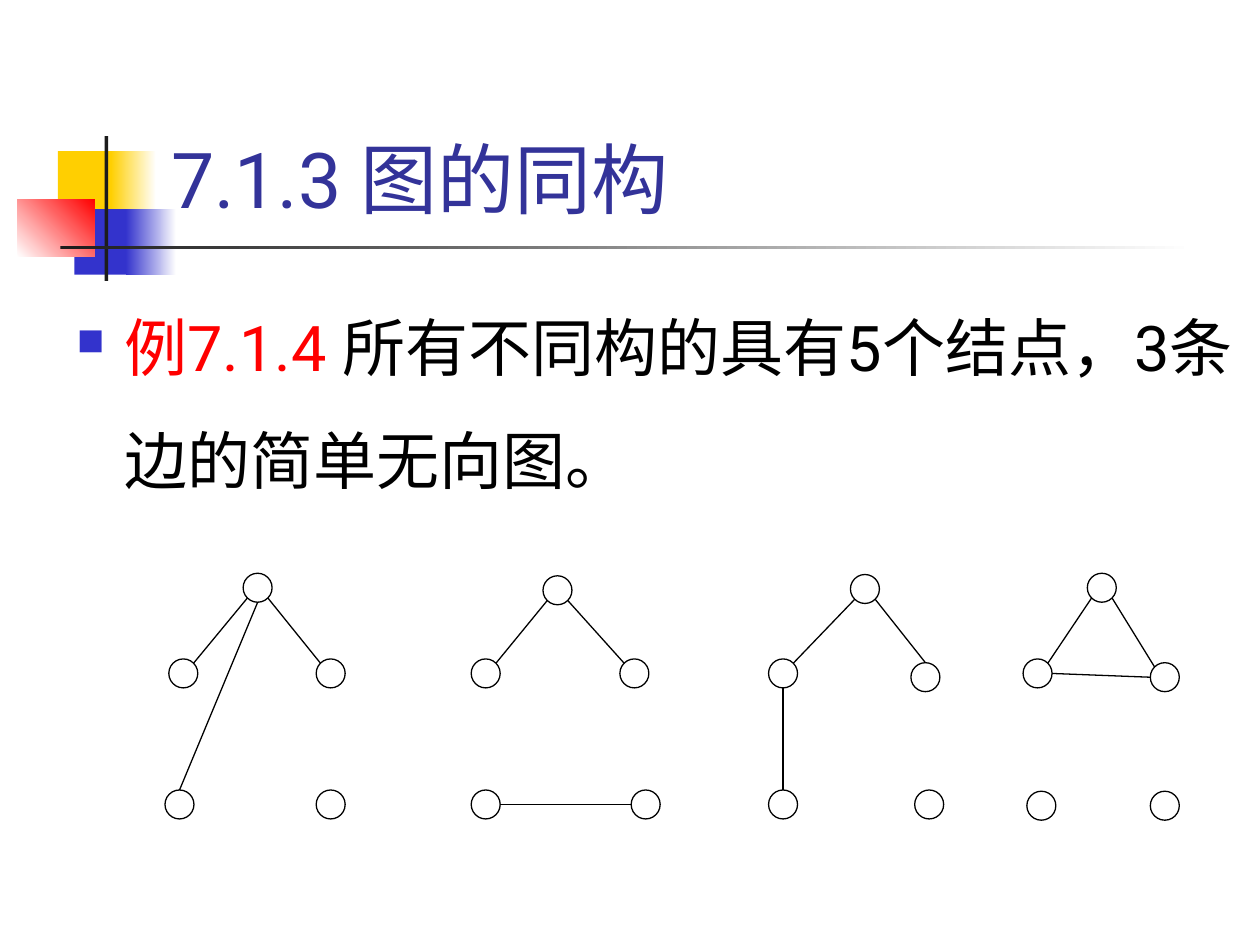
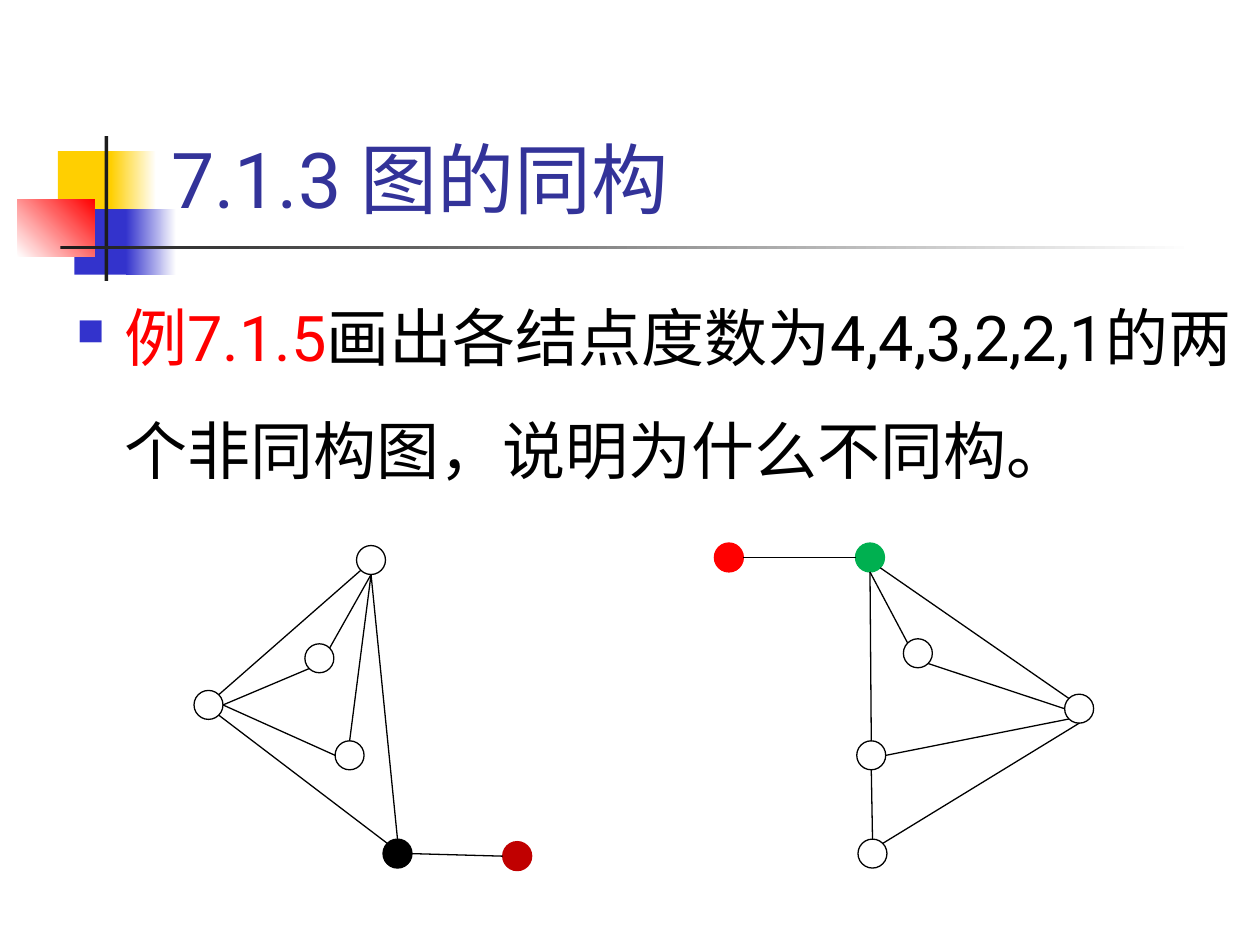
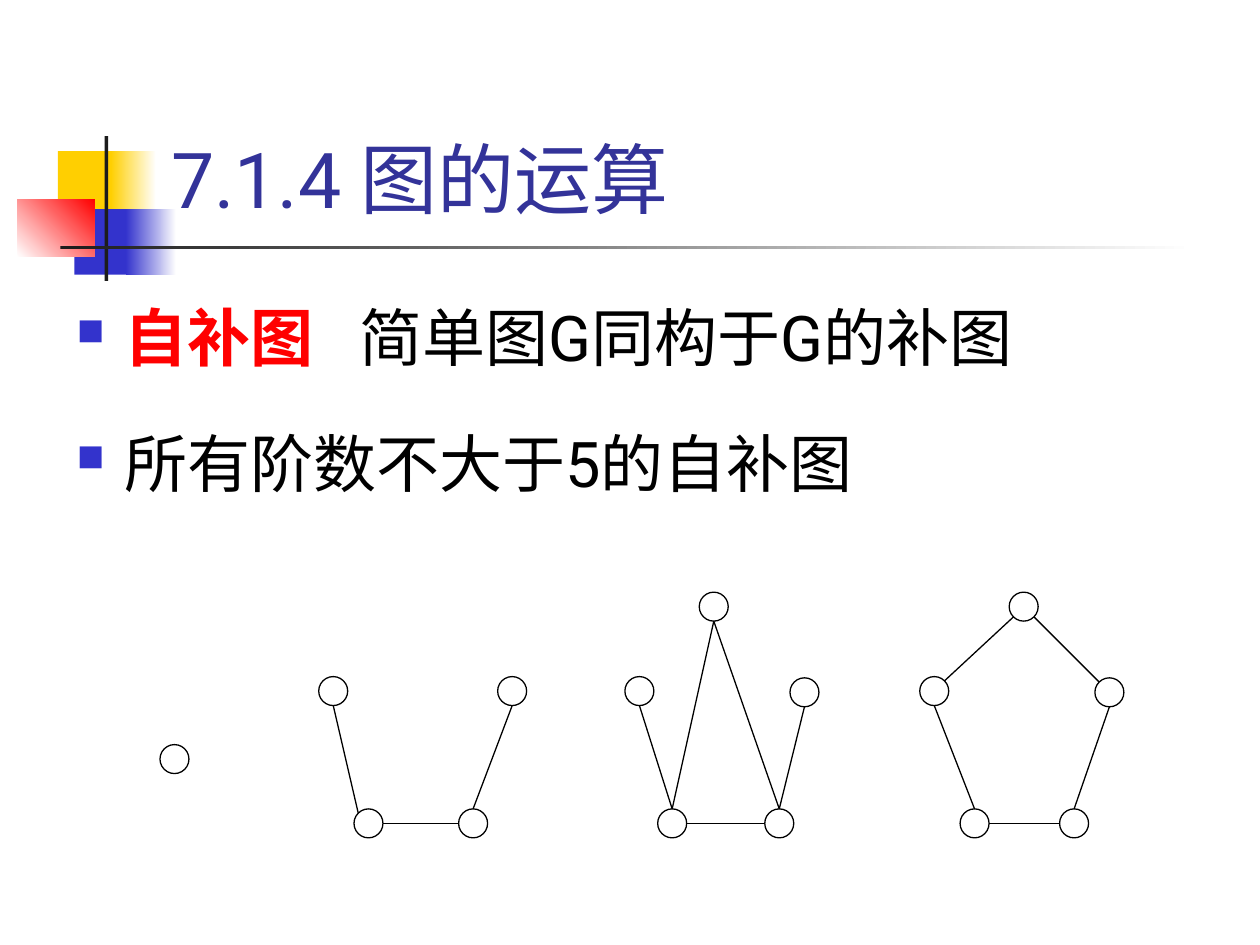
import math
from typing import NamedTuple

import pptx
import pptx.dml.color
import pptx.enum.shapes
import pptx.enum.text
import pptx.oxml.ns
import pptx.slide
import pptx.text.text
import pptx.util
from lxml import etree

Inches = pptx.util.Inches
FONT = "Roboto"
BLACK = "000000"
WHITE = "FFFFFF"
RED = "FF0000"
YELLOW = "FFCF01"
BLUE = "3333CC"
TITLE_BLUE = "333399"
DARK = "1C1C1C"
NODE_SIZE = 0.23
OUTLINE_POINTS = 0.75
COMPASS = ["E", "SE", "S", "SW", "W", "NW", "N", "NE"]


class Band(NamedTuple):
    left: float
    top: float
    width: float
    height: float
    color: str
    fade_to: str = ""
    angle: int = 0


class Node(NamedTuple):
    left: float
    top: float
    fill: str = WHITE
    outline: str = BLACK


class Edge(NamedTuple):
    start: str
    start_side: str
    end: str
    end_side: str


class Graph(NamedTuple):
    nodes: dict[str, Node]
    edges: list[Edge]


class Piece(NamedTuple):
    text: str
    color: str = BLACK
    bold: bool = False
    size: int = 36
    spacing: int = 0


class Page(NamedTuple):
    title: str
    body_top: float
    paragraphs: list[list[Piece]]
    graphs: list[Graph]


BANDS = [
    Band(0.46, 1.2, 0.48, 0.52, YELLOW),
    Band(0.88, 1.2, 0.36, 0.52, YELLOW, WHITE),
    Band(0.59, 1.66, 0.46, 0.52, BLUE),
    Band(1, 1.66, 0.4, 0.52, BLUE, WHITE),
    Band(0.14, 1.58, 0.61, 0.46, WHITE, RED, 45),
    Band(0.83, 1.08, 0.03, 1.15, DARK),
    Band(0.48, 1.95, 9, 0.03, DARK, WHITE),
]

THREE_EDGE_GRAPHS = [
    Graph(
        {
            "top": Node(1.93, 4.55),
            "left": Node(1.34, 5.23),
            "right": Node(2.51, 5.23),
            "low left": Node(1.31, 6.27),
            "low right": Node(2.51, 6.27),
        },
        [
            Edge("top", "SW", "left", "NE"),
            Edge("top", "SE", "right", "NW"),
            Edge("top", "S", "low left", "N"),
        ],
    ),
    Graph(
        {
            "top": Node(4.31, 4.57),
            "left": Node(3.74, 5.23),
            "right": Node(4.92, 5.23),
            "low left": Node(3.74, 6.27),
            "low right": Node(5.01, 6.27),
        },
        [
            Edge("top", "SW", "left", "NE"),
            Edge("top", "SE", "right", "NW"),
            Edge("low left", "E", "low right", "W"),
        ],
    ),
    Graph(
        {
            "top": Node(6.75, 4.56),
            "left": Node(6.1, 5.23),
            "right": Node(7.23, 5.26),
            "low left": Node(6.1, 6.27),
            "low right": Node(7.26, 6.27),
        },
        [
            Edge("top", "SW", "left", "NE"),
            Edge("top", "SE", "right", "N"),
            Edge("left", "S", "low left", "N"),
        ],
    ),
    Graph(
        {
            "top": Node(8.63, 4.55),
            "left": Node(8.12, 5.23),
            "right": Node(9.13, 5.26),
            "low left": Node(8.15, 6.28),
            "low right": Node(9.13, 6.28),
        },
        [
            Edge("top", "SW", "left", "NE"),
            Edge("top", "SE", "right", "NW"),
            Edge("left", "E", "right", "W"),
        ],
    ),
]

SAME_DEGREE_GRAPHS = [
    Graph(
        {
            "west": Node(1.54, 5.48),
            "top": Node(2.83, 4.33),
            "inner high": Node(2.42, 5.11),
            "inner low": Node(2.66, 5.88),
            "bottom": Node(3.04, 6.66, BLACK, BLACK),
            "leaf": Node(3.99, 6.68, "C00000", "C00000"),
        },
        [
            Edge("west", "NE", "top", "SW"),
            Edge("west", "E", "inner low", "W"),
            Edge("west", "SE", "bottom", "NW"),
            Edge("top", "S", "inner low", "N"),
            Edge("top", "S", "bottom", "N"),
            Edge("top", "S", "inner high", "NE"),
            Edge("inner high", "SW", "west", "E"),
            Edge("bottom", "E", "leaf", "W"),
        ],
    ),
    Graph(
        {
            "leaf": Node(5.67, 4.31, RED, RED),
            "top": Node(6.79, 4.31, "00B050", "00B050"),
            "inner": Node(7.17, 5.07),
            "middle": Node(6.8, 5.88),
            "bottom": Node(6.81, 6.66),
            "east": Node(8.45, 5.51),
        },
        [
            Edge("top", "SE", "east", "NW"),
            Edge("middle", "S", "bottom", "N"),
            Edge("top", "S", "inner", "NW"),
            Edge("top", "S", "middle", "N"),
            Edge("inner", "SE", "east", "W"),
            Edge("middle", "E", "east", "SW"),
            Edge("east", "S", "bottom", "NE"),
            Edge("leaf", "E", "top", "W"),
        ],
    ),
]

SELF_COMPLEMENTARY_GRAPHS = [
    Graph({"single": Node(1.27, 5.91)}, []),
    Graph(
        {
            "left": Node(2.53, 5.37),
            "right": Node(3.95, 5.37),
            "low left": Node(2.81, 6.42),
            "low right": Node(3.64, 6.42),
        },
        [
            Edge("right", "S", "low right", "N"),
            Edge("left", "S", "low left", "NW"),
            Edge("low left", "E", "low right", "W"),
        ],
    ),
    Graph(
        {
            "top": Node(5.55, 4.7),
            "left": Node(4.96, 5.37),
            "right": Node(6.27, 5.38),
            "low left": Node(5.22, 6.42),
            "low right": Node(6.07, 6.42),
        },
        [
            Edge("top", "S", "low left", "N"),
            Edge("top", "S", "low right", "N"),
            Edge("low left", "E", "low right", "W"),
            Edge("right", "S", "low right", "N"),
            Edge("left", "S", "low left", "N"),
        ],
    ),
    Graph(
        {
            "top": Node(8.01, 4.7),
            "left": Node(7.3, 5.37),
            "right": Node(8.69, 5.38),
            "low left": Node(7.62, 6.42),
            "low right": Node(8.41, 6.42),
        },
        [
            Edge("top", "SW", "left", "NE"),
            Edge("top", "SE", "right", "NW"),
            Edge("right", "S", "low right", "N"),
            Edge("left", "S", "low left", "N"),
            Edge("low left", "E", "low right", "W"),
        ],
    ),
]

PAGES = [
    Page(
        "7.1.3 图的同构",
        2.1,
        [[Piece("例7.1.4 ", RED), Piece("所有不同构的具有5个结点，3条边的简单无向图。")]],
        THREE_EDGE_GRAPHS,
    ),
    Page(
        "7.1.3 图的同构",
        2.02,
        [[Piece("例7.1.5", RED), Piece("画出各结点度数为4,4,3,2,2,1的两个非同构图，说明为什么不同构。")]],
        SAME_DEGREE_GRAPHS,
    ),
    Page(
        "7.1.4 图的运算",
        2.02,
        [
            [
                Piece("自补图", RED, bold=True),
                Piece(" ", RED, bold=True, spacing=18),
                Piece("简单图G同构于G的补图"),
            ],
            [Piece("所有阶数不大于5的自补图")],
        ],
        SELF_COMPLEMENTARY_GRAPHS,
    ),
]


def rgb(color: str) -> pptx.dml.color.RGBColor:
    return pptx.dml.color.RGBColor.from_string(color)


def add_element(parent: etree._Element, tag: str, **attributes: str) -> etree._Element:
    return etree.SubElement(parent, pptx.oxml.ns.qn(tag), **attributes)


def draw_band(slide: pptx.slide.Slide, band: Band) -> None:
    shape = slide.shapes.add_shape(
        pptx.enum.shapes.MSO_SHAPE.RECTANGLE,
        Inches(band.left), Inches(band.top), Inches(band.width), Inches(band.height),
    )
    shape.shadow.inherit = False
    shape.line.fill.background()
    if band.fade_to:
        shape.fill.gradient()
        shape.fill.gradient_angle = band.angle
        for stop, color in zip(shape.fill.gradient_stops, (band.color, band.fade_to)):
            stop.color.rgb = rgb(color)
    else:
        shape.fill.solid()
        shape.fill.fore_color.rgb = rgb(band.color)


def add_text_frame(
    slide: pptx.slide.Slide, left: float, top: float, width: float, height: float
) -> pptx.text.text.TextFrame:
    shape = slide.shapes.add_textbox(Inches(left), Inches(top), Inches(width), Inches(height))
    shape.text_frame.word_wrap = True
    return shape.text_frame


def add_piece(paragraph: pptx.text.text._Paragraph, piece: Piece) -> None:
    run = paragraph.add_run()
    run.text = piece.text
    run.font.name = FONT
    run.font.size = pptx.util.Pt(piece.size)
    run.font.bold = piece.bold
    run.font.color.rgb = rgb(piece.color)
    if piece.spacing:
        run.font._element.set("spc", str(piece.spacing * 100))


def draw_title(slide: pptx.slide.Slide, title: str) -> None:
    frame = add_text_frame(slide, 1.26, 0.23, 8.52, 1.6)
    frame.vertical_anchor = pptx.enum.text.MSO_ANCHOR.BOTTOM
    add_piece(frame.paragraphs[0], Piece(title, TITLE_BLUE, size=44))


def draw_body(slide: pptx.slide.Slide, page: Page) -> None:
    frame = add_text_frame(slide, 0.51, page.body_top, 9.49, 7.5 - page.body_top)
    for index, pieces in enumerate(page.paragraphs):
        paragraph = frame.add_paragraph() if index else frame.paragraphs[0]
        paragraph.line_spacing = 1.5
        if index:
            paragraph.space_before = pptx.util.Pt(7.2)
        properties = paragraph._p.get_or_add_pPr()
        properties.set("marL", str(Inches(0.38)))
        properties.set("indent", str(Inches(-0.38)))
        add_element(add_element(properties, "a:buClr"), "a:srgbClr", val=BLUE)
        add_element(properties, "a:buSzPct", val="60000")
        add_element(properties, "a:buChar", char="■")
        for piece in pieces:
            add_piece(paragraph, piece)


def draw_node(slide: pptx.slide.Slide, node: Node) -> None:
    shape = slide.shapes.add_shape(
        pptx.enum.shapes.MSO_SHAPE.OVAL,
        Inches(node.left), Inches(node.top), Inches(NODE_SIZE), Inches(NODE_SIZE),
    )
    shape.shadow.inherit = False
    shape.fill.solid()
    shape.fill.fore_color.rgb = rgb(node.fill)
    shape.line.color.rgb = rgb(node.outline)
    shape.line.width = pptx.util.Pt(OUTLINE_POINTS)


def rim_point(node: Node, side: str) -> tuple[int, int]:
    angle = math.radians(45 * COMPASS.index(side))
    radius = NODE_SIZE / 2
    return (
        Inches(node.left + radius + radius * math.cos(angle)),
        Inches(node.top + radius + radius * math.sin(angle)),
    )


def draw_edge(slide: pptx.slide.Slide, graph: Graph, edge: Edge) -> None:
    connector = slide.shapes.add_connector(
        pptx.enum.shapes.MSO_CONNECTOR.STRAIGHT,
        *rim_point(graph.nodes[edge.start], edge.start_side),
        *rim_point(graph.nodes[edge.end], edge.end_side),
    )
    connector.line.color.rgb = rgb(BLACK)
    connector.line.width = pptx.util.Pt(OUTLINE_POINTS)
    add_element(connector._element.spPr, "a:effectLst")


def draw_page(slide: pptx.slide.Slide, page: Page) -> None:
    for band in BANDS:
        draw_band(slide, band)
    draw_title(slide, page.title)
    draw_body(slide, page)
    for graph in page.graphs:
        for node in graph.nodes.values():
            draw_node(slide, node)
        for edge in graph.edges:
            draw_edge(slide, graph, edge)


def main() -> None:
    presentation = pptx.Presentation()
    presentation.slide_width = Inches(10)
    presentation.slide_height = Inches(7.5)
    for page in PAGES:
        draw_page(presentation.slides.add_slide(presentation.slide_layouts[6]), page)
    presentation.save("out.pptx")


if __name__ == "__main__":
    main()
